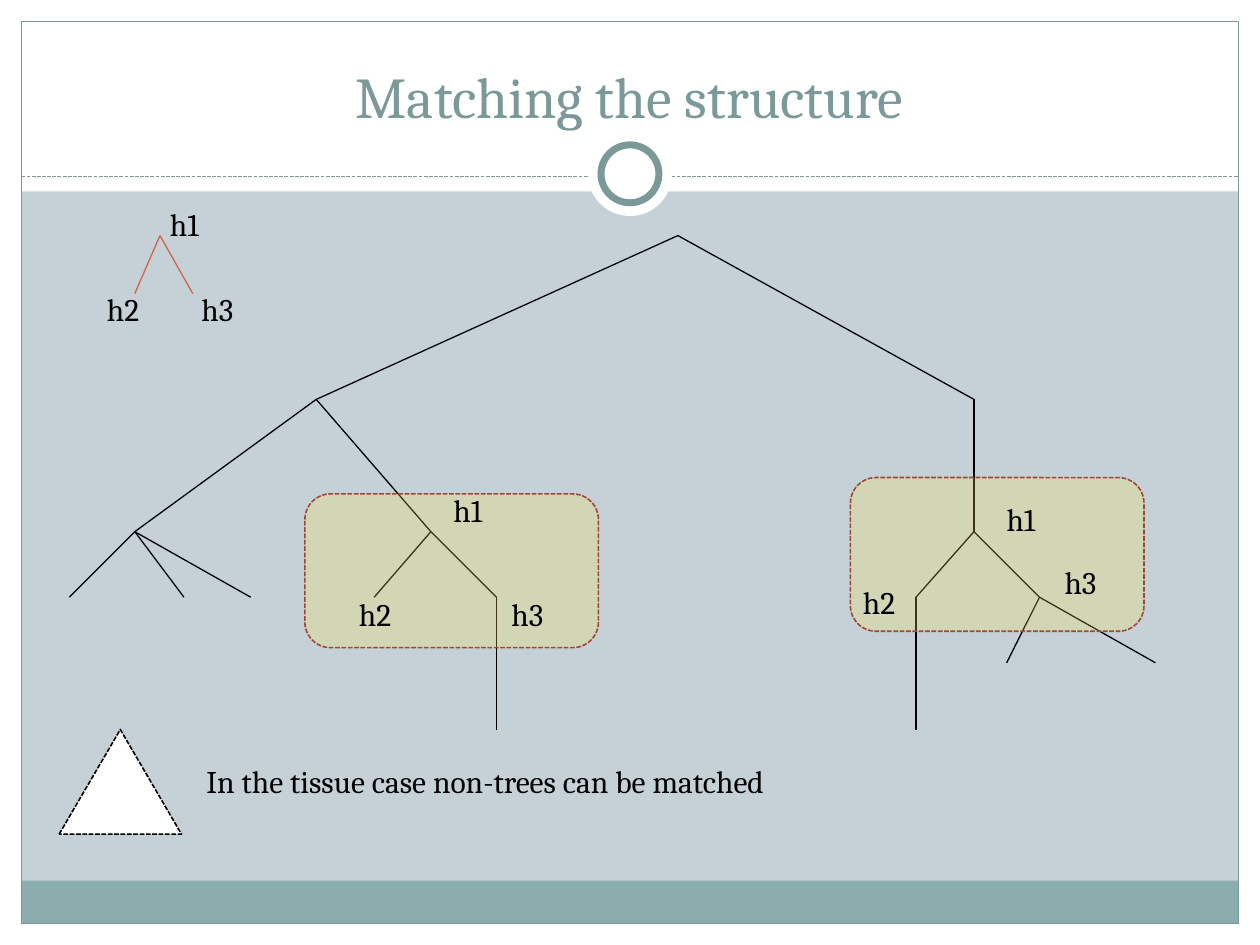
from lxml import etree
from pptx import Presentation
from pptx.dml.color import RGBColor
from pptx.enum import dml, shapes, text
from pptx.oxml import ns
from pptx.util import Inches, Pt

FONT = "Cambria"
TEAL, BLACK, WHITE, RUST = "7C999A", "000000", "FFFFFF", "9B4936"
KIND = shapes.MSO_SHAPE


def color(code):
    return RGBColor.from_string(code)


def stroke(line, code, width, dashed=False):
    line.color.rgb = color(code)
    line.width = Pt(width)
    if dashed:
        line.dash_style = dml.MSO_LINE.SQUARE_DOT


def add_form(slide, kind, box, fill=None, line=None, width=0.75, dashed=False, alpha=None):
    """Add a preset shape; alpha is the fill's opacity in percent."""
    form = slide.shapes.add_shape(kind, *map(Inches, box))
    form.shadow.inherit = False
    if fill:
        form.fill.solid()
        form.fill.fore_color.rgb = color(fill)
    else:
        form.fill.background()
    if alpha:
        tone = form.fill._xPr.find(".//" + ns.qn("a:srgbClr"))
        etree.SubElement(tone, ns.qn("a:alpha"), val=str(alpha * 1000))
    if line:
        stroke(form.line, line, width, dashed)
    else:
        form.line.fill.background()


def add_line(slide, start, end, code=BLACK, dashed=False):
    link = slide.shapes.add_connector(
        shapes.MSO_CONNECTOR.STRAIGHT, *map(Inches, (*start, *end)))
    stroke(link.line, code, 0.75, dashed)
    etree.SubElement(link._element.spPr, ns.qn("a:effectLst"))


def add_text(slide, words, box, size=18, code=BLACK, title=False):
    label = slide.shapes.add_textbox(*map(Inches, box))
    frame = label.text_frame
    frame.text = words
    frame.word_wrap = title
    para = frame.paragraphs[0]
    para.font.name, para.font.size = FONT, Pt(size)
    para.font.color.rgb = color(code)
    if title:
        frame.vertical_anchor = text.MSO_ANCHOR.BOTTOM
        para.alignment = text.PP_ALIGN.CENTER


def add_frame(slide, wide, high):
    """Draw the white border, footer band, rule and ring around the slide."""
    edge, head, foot = 0.17, 1.52, 0.34
    inner = wide - 2 * edge
    for box in ((0, high - edge, wide, edge), (0, 0, wide, head),
                (0, 0, edge, high), (wide - edge, 0, edge, high)):
        add_form(slide, KIND.RECTANGLE, box, WHITE)
    add_form(slide, KIND.RECTANGLE, (edge, high - edge - foot, inner, foot), "8CADAE")
    add_form(slide, KIND.RECTANGLE, (edge, edge, inner, high - 2 * edge), line=TEAL)
    add_line(slide, (edge, 1.4), (wide - edge, 1.4), TEAL, True)
    for size, line in ((0.67, None), (0.46, TEAL)):
        box = ((wide - size) / 2, 1.38 - size / 2, size, size)
        add_form(slide, KIND.OVAL, box, WHITE, line, 4)


def add_tree(slide, left, top, nodes, edges, code=BLACK):
    """Join nodes, given as offsets from left and top, by parent-children edges."""
    spots = {name: (left + x, top + y) for name, (x, y) in nodes.items()}
    for parent, kids in edges.items():
        for kid in kids:
            add_line(slide, spots[parent], spots[kid], code)


def add_names(slide, left, top, spots):
    """Label h1, h2 and h3 at offsets from left and top."""
    for count, (x, y) in enumerate(spots, 1):
        wide = 0.46 if count == 1 else 0.49
        add_text(slide, f"h{count}", (left + x, top + y, wide, 0.4))


def add_match(slide, left, top, spots):
    add_form(slide, KIND.ROUNDED_RECTANGLE, (left, top, 2.33, 1.22),
             "FFE947", RUST, 0.9, True, 23)
    add_names(slide, left, top, spots)


def add_pattern(slide, left, top):
    nodes = {"h1": (0.52, 0.29), "h2": (0.32, 0.75), "h3": (0.78, 0.75)}
    add_tree(slide, left, top, nodes, {"h1": ("h2", "h3")}, "D16349")
    add_names(slide, left, top, ((0.5, 0), (0, 0.67), (0.75, 0.67)))


def add_note(slide, left, top):
    add_form(slide, KIND.ISOSCELES_TRIANGLE, (left, top, 0.97, 0.83),
             WHITE, BLACK, 0.9, True)
    add_text(slide, "In the tissue case non-trees can be matched",
             (left + 1.07, top + 0.21, 5.05, 0.4))


NODES = {
    "root": (4.83, 0), "west": (1.96, 1.3), "east": (7.18, 1.3),
    "fan": (0.52, 2.35), "mid": (2.87, 2.35), "fork": (7.18, 2.35),
    "fan1": (0, 2.87), "fan2": (0.91, 2.87), "fan3": (1.44, 2.87),
    "mid2": (2.42, 2.87), "mid3": (3.39, 2.87), "stem": (3.39, 3.92),
    "fork2": (6.72, 2.87), "fork3": (7.7, 2.87), "tail": (6.72, 3.92),
    "leaf1": (7.44, 3.39), "leaf2": (8.62, 3.39),
}
EDGES = {
    "root": ("west", "east"), "west": ("fan", "mid"),
    "mid": ("mid2", "mid3"), "mid3": ("stem",),
    "fan": ("fan1", "fan2", "fan3"), "east": ("fork",),
    "fork": ("fork2", "fork3"), "fork2": ("tail",), "fork3": ("leaf1", "leaf2"),
}


def main():
    deck = Presentation()
    deck.slide_width, deck.slide_height = Inches(10), Inches(7.5)
    slide = deck.slides.add_slide(deck.slide_layouts[6])
    slide.background.fill.solid()
    slide.background.fill.fore_color.rgb = color("C5D1D7")
    add_frame(slide, 10, 7.5)
    add_text(slide, "Matching the structure", (0.33, 0.25, 9.33, 0.83), 33, TEAL, True)
    add_tree(slide, 0.55, 1.87, NODES, EDGES)
    add_match(slide, 2.42, 3.92, ((1.08, -0.07), (0.33, 0.75), (1.54, 0.75)))
    add_match(slide, 6.75, 3.79, ((1.14, 0.13), (0, 0.79), (1.6, 0.63)))
    add_pattern(slide, 0.75, 1.58)
    add_note(slide, 0.47, 5.79)
    deck.save("out.pptx")


if __name__ == "__main__":
    main()
